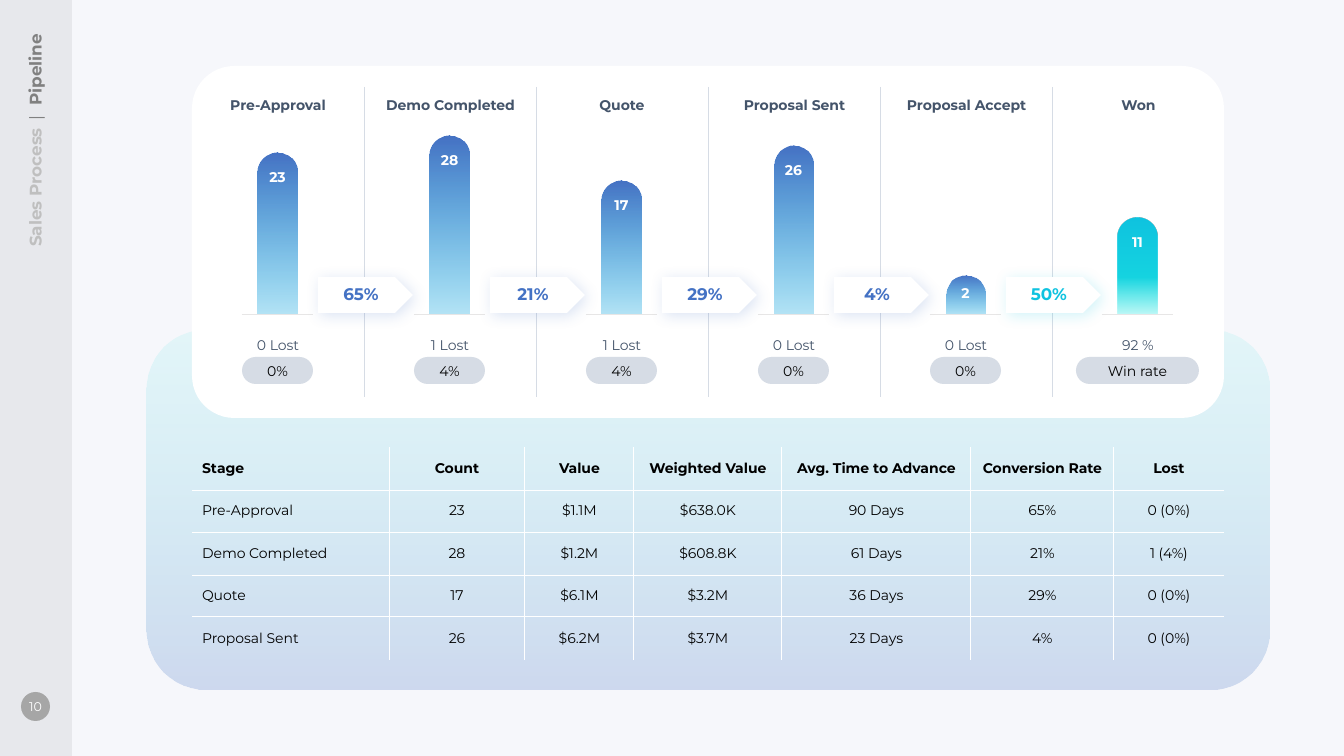
from dataclasses import dataclass
from pptx import Presentation
from pptx.dml.color import RGBColor
from pptx.enum.shapes import MSO_CONNECTOR, MSO_SHAPE
from pptx.enum.text import MSO_ANCHOR, MSO_AUTO_SIZE, PP_ALIGN
from pptx.oxml import parse_xml
from pptx.oxml.ns import nsdecls, qn
from pptx.util import Pt


@dataclass(frozen=True)
class Theme:
    font: str = "Montserrat"
    page: str = "F6F7FB"
    white: str = "FFFFFF"
    black: str = "000000"
    slate: str = "44546A"
    blue: str = "4472C4"
    cyan: str = "0FC3E0"
    rule: str = "D6DCE5"
    base: str = "E7E6E6"
    disc: str = "A6A6A6"
    pale: str = "BFBFBF"
    gray: str = "808080"
    strip: tuple = ((0, "404040", 8),)
    panel: tuple = ((0, "1DE5E2", 9), (100, "4472C4", 23))
    stage: tuple = ((0, "4472C4", 100), (100, "00A0DE", 30))
    won: tuple = ((0, "0FC3E0", 100), (62, "16D4E1", 100), (100, "1DE5E2", 30))
    small: int = 9
    body: int = 10
    large: int = 12


def px(n):
    return round(n * 914400 / 100.8)


def put(item, form):
    for key, value in form.items():
        setattr(item, key, value)


def tint(color, alpha):
    return f'<a:srgbClr val="{color}"><a:alpha val="{alpha * 1000}"/></a:srgbClr>'


class Deck:
    def __init__(self, theme):
        self.theme = theme
        self.show = Presentation()
        put(self.show, {"slide_width": px(1344), "slide_height": px(756)})
        self.slide = self.show.slides.add_slide(self.show.slide_layouts[6])
        self.paint(self.slide.background, theme.page)

    def paint(self, item, fill):
        if isinstance(fill, str):
            item.fill.solid()
            item.fill.fore_color.rgb = RGBColor.from_string(fill)
            return
        item.fill.background()
        if len(fill) == 1:
            xml = f'<a:solidFill {nsdecls("a")}>{tint(*fill[0][1:])}</a:solidFill>'
        else:
            stops = "".join(f'<a:gs pos="{at * 1000}">{tint(color, alpha)}</a:gs>'
                            for at, color, alpha in fill)
            xml = (f'<a:gradFill {nsdecls("a")} rotWithShape="1"><a:gsLst>{stops}</a:gsLst>'
                   '<a:lin ang="5400000" scaled="0"/></a:gradFill>')
        props = item._element.spPr
        props.replace(props.find(qn("a:noFill")), parse_xml(xml))

    def label(self, frame, runs, align=PP_ALIGN.CENTER):
        para = frame.paragraphs[0]
        para.alignment = align
        for text, size, color, bold in runs:
            run = para.add_run()
            run.text = text
            put(run.font, {"name": self.theme.font, "size": Pt(size), "bold": bold})
            run.font.color.rgb = RGBColor.from_string(color)

    def shape(self, kind, box, fill, runs=(), adjust=(), pad=(5, 5),
              anchor=MSO_ANCHOR.MIDDLE, turn=0, glow=None):
        item = self.slide.shapes.add_shape(kind, *map(px, box))
        for i, value in enumerate(adjust):
            item.adjustments[i] = value
        self.paint(item, fill)
        item.line.fill.background()
        item.shadow.inherit = False
        item.rotation = turn
        if glow:
            item._element.spPr.find(qn("a:effectLst")).append(parse_xml(
                f'<a:outerShdw {nsdecls("a")} blurRad="{Pt(10.7)}" dist="{Pt(3)}" '
                f'dir="2700000" algn="tl" rotWithShape="0">{tint(glow, 18)}</a:outerShdw>'))
        put(item.text_frame, {"margin_left": 0, "margin_right": 0, "margin_top": px(pad[0]),
                              "margin_bottom": px(pad[1]), "vertical_anchor": anchor})
        self.label(item.text_frame, runs)

    def text(self, box, runs, align=PP_ALIGN.CENTER, turn=0):
        item = self.slide.shapes.add_textbox(*map(px, box))
        item.rotation = turn
        put(item.text_frame, {"word_wrap": False, "auto_size": MSO_AUTO_SIZE.SHAPE_TO_FIT_TEXT})
        self.label(item.text_frame, runs, align)
        return item

    def line(self, ends, color):
        item = self.slide.shapes.add_connector(MSO_CONNECTOR.STRAIGHT, *map(px, ends))
        item.line.color.rgb = RGBColor.from_string(color)
        item.line.width = Pt(0.5)
        item._element.spPr.append(parse_xml(f'<a:effectLst {nsdecls("a")}/>'))

    def edge(self, cell, sides):
        for side in sides:
            cell._tc.get_or_add_tcPr().append(parse_xml(
                f'<a:ln{side} {nsdecls("a")} w="{Pt(0.75)}"><a:solidFill>'
                f'{tint(self.theme.white, 100)}</a:solidFill></a:ln{side}>'))

    def table(self, spot, widths, heights, rows):
        size = (sum(widths), sum(heights))
        grid = self.slide.shapes.add_table(
            len(rows), len(widths), *map(px, spot + size)).table
        put(grid, {"first_row": False, "horz_banding": False})
        style = grid._tbl.tblPr.find(qn("a:tableStyleId"))
        style.text = "{2D5ABB26-0587-4C30-8999-92F81FD0307C}"
        for col, width in zip(grid.columns, widths):
            col.width = px(width)
        for r, (row, height) in enumerate(zip(rows, heights)):
            grid.rows[r].height = px(height)
            for c, word in enumerate(row):
                cell = grid.cell(r, c)
                inner = {"L": c > 0, "R": c < len(widths) - 1,
                         "T": r > 0, "B": r < len(rows) - 1}
                self.edge(cell, [side for side, shown in inner.items() if shown])
                cell.fill.background()
                cell.vertical_anchor = MSO_ANCHOR.MIDDLE
                self.label(cell.text_frame, [(word, self.theme.body, self.theme.black, r == 0)],
                           PP_ALIGN.CENTER if c else PP_ALIGN.LEFT)


STAGES = [
    ("Pre-Approval", 118, "23", 161, "0 Lost", 66, "0%", "65%"),
    ("Demo Completed", 151, "28", 178, "1 Lost", 58, "4%", "21%"),
    ("Quote", 66, "17", 133, "1 Lost", 58, "4%", "29%"),
    ("Proposal Sent", 123, "26", 168, "0 Lost", 66, "0%", "4%"),
    ("Proposal Accept", 141, "2", 38, "0 Lost", 66, "0%", "50%"),
    ("Won", 55, "11", 96, "92 %", 52, "Win rate", None),
]
ROWS = [
    ("Stage", "Count", "Value", "Weighted Value", "Avg. Time to Advance",
     "Conversion Rate", "Lost"),
    ("Pre-Approval", "23", "$1.1M", "$638.0K", "90 Days", "65%", "0 (0%)"),
    ("Demo Completed", "28", "$1.2M", "$608.8K", "61 Days", "21%", "1 (4%)"),
    ("Quote", "17", "$6.1M", "$3.2M", "36 Days", "29%", "0 (0%)"),
    ("Proposal Sent", "26", "$6.2M", "$3.7M", "23 Days", "4%", "0 (0%)"),
]
LEFT, STEP, FLOOR = 192, 172, 314


def main():
    look = Theme()
    deck = Deck(look)
    deck.shape(MSO_SHAPE.RECTANGLE, (-342, 342, 756, 72), look.strip, turn=270)
    deck.shape(MSO_SHAPE.OVAL, (21, 692, 29, 29), look.disc,
               [("10", look.small, look.white, False)])
    deck.shape(MSO_SHAPE.ROUNDED_RECTANGLE, (147, 330, 1122, 360), look.panel)
    deck.table((LEFT, 447), (197, 136, 109, 148, 189, 143, 110), (43, 42, 43, 42, 43), ROWS)
    deck.shape(MSO_SHAPE.ROUNDED_RECTANGLE, (LEFT, 66, 6 * STEP, 352), look.white,
               adjust=(0.12,))
    for i in range(1, len(STAGES)):
        x = LEFT + i * STEP
        deck.line((x, 87, x, 397), look.rule)
    for i, (name, wide, count, tall, lost, span, rate, _) in enumerate(STAGES):
        mid = LEFT + i * STEP + STEP // 2
        last = name == "Won"
        pill = 123 if last else 71
        deck.text((mid - wide // 2, 92, wide, 27), [(name, look.body, look.slate, True)])
        deck.shape(MSO_SHAPE.ROUND_2_SAME_RECTANGLE, (mid - 20, FLOOR - tall, 39, tall),
                   look.won if last else look.stage,
                   [(count, look.body, look.white, True)], (0.5, 0),
                   (3 if tall < 40 else 10, 5), MSO_ANCHOR.TOP)
        deck.line((mid - 36, FLOOR, mid + 35, FLOOR), look.base)
        deck.text((mid - span // 2, 332, span, 27), [(lost, look.body, look.slate, False)])
        deck.shape(MSO_SHAPE.ROUNDED_RECTANGLE, (mid - pill // 2 - 1, 357, pill, 27), look.rule,
                   [(rate, look.body, look.black, False)], (0.5,))
    for i, stage in enumerate(STAGES[:-1]):
        hue = look.cyan if i == len(STAGES) - 2 else look.blue
        deck.shape(MSO_SHAPE.PENTAGON, (LEFT + i * STEP + 126, 277, 95, 36), look.white,
                   [(stage[-1], look.large, hue, True)], pad=(0, 2), glow=hue)
    title = deck.text((-86, 130, 242, 30), [
        ("Sales Process", look.large, look.pale, True),
        (" | ", look.large, look.gray, False),
        ("Pipeline", look.large, look.gray, True)], PP_ALIGN.RIGHT, 270)
    title.text_frame.paragraphs[0].runs[1]._r.get_or_add_rPr().set("spc", "200")
    deck.show.save("out.pptx")


if __name__ == "__main__":
    main()
